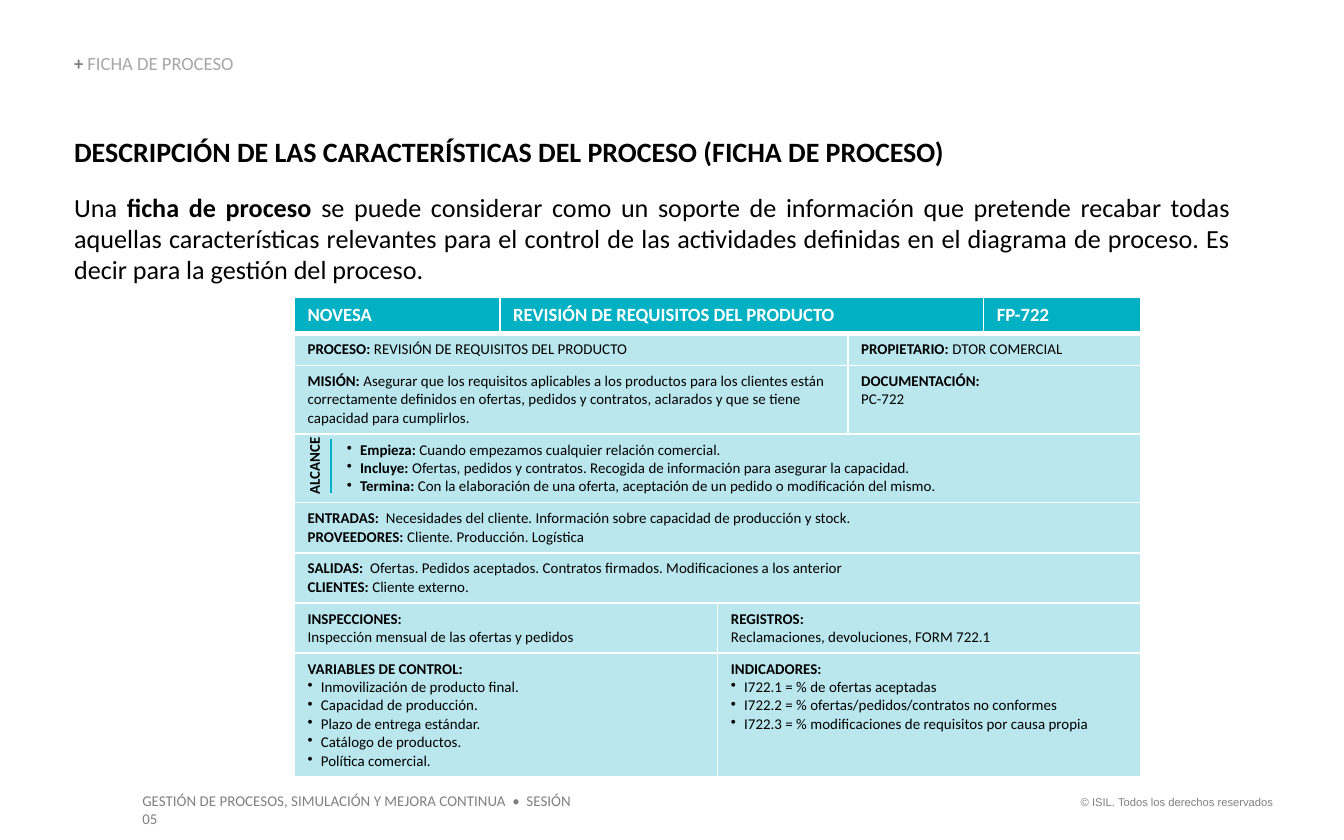
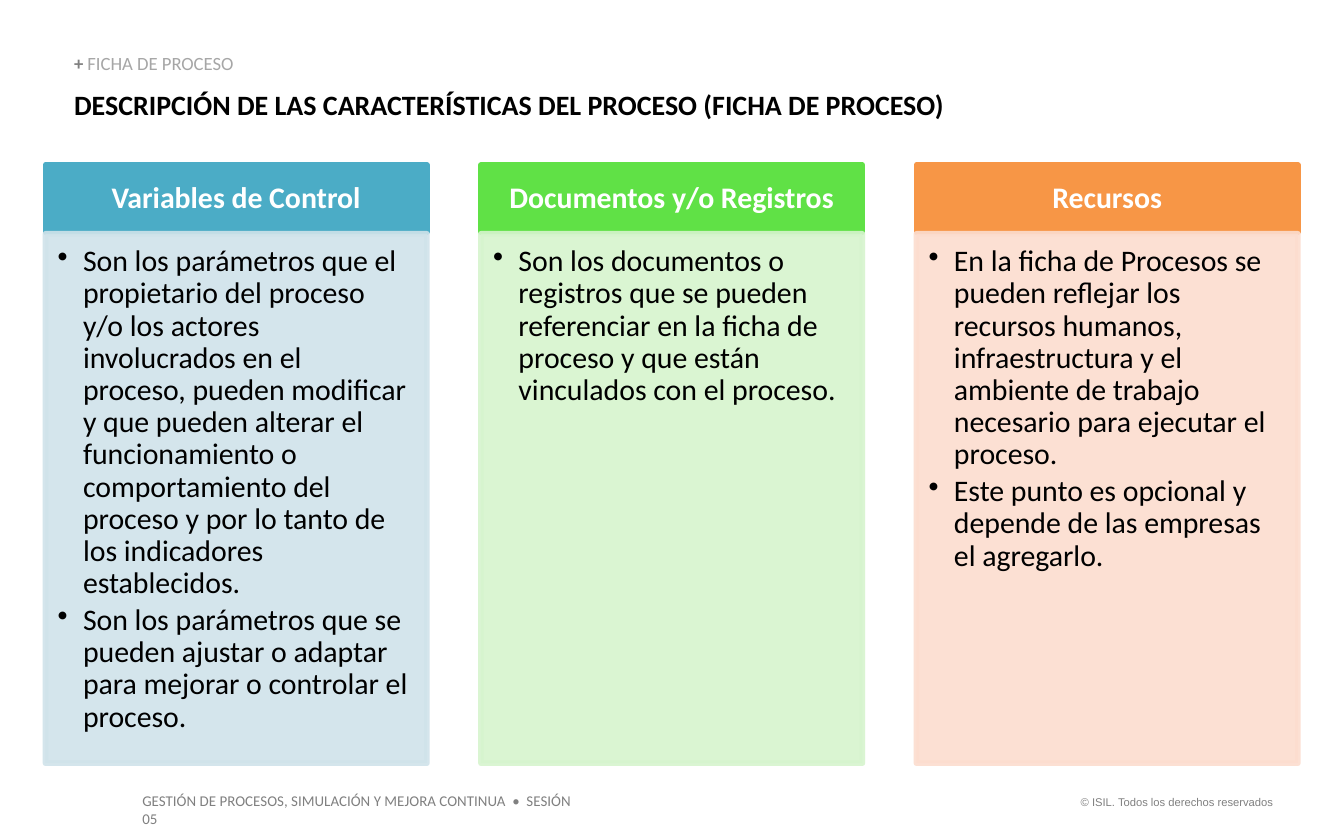
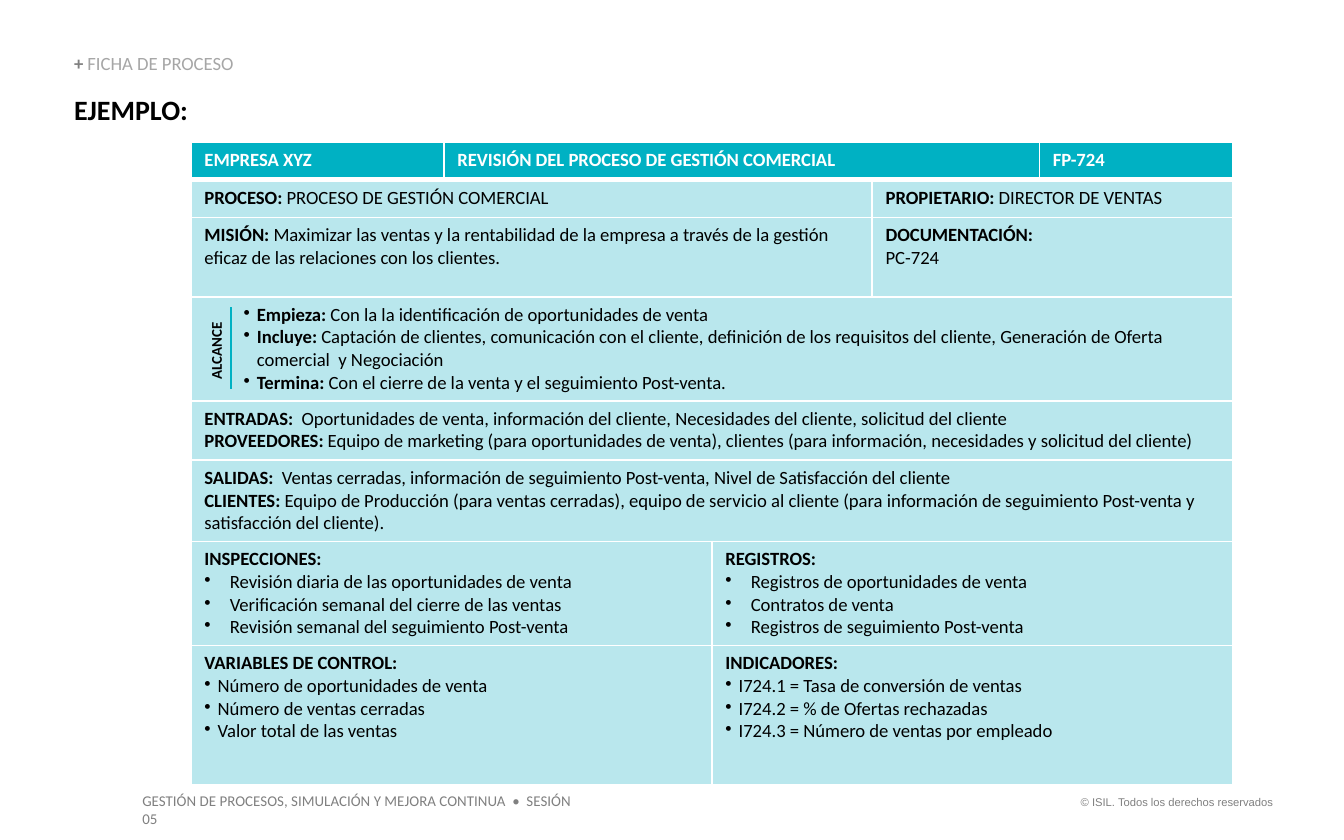
from dataclasses import dataclass

from pptx import Presentation
from pptx.dml.color import RGBColor
from pptx.enum.shapes import MSO_CONNECTOR, MSO_SHAPE
from pptx.enum.text import MSO_ANCHOR, MSO_AUTO_SIZE, PP_ALIGN
from pptx.oxml.ns import qn
from pptx.util import Cm, Pt
from lxml.etree import SubElement


@dataclass(frozen=True)
class Theme:
    """Colours, fonts and type sizes of the deck."""
    font: str = "Calibri"
    legal_font: str = "Arial"
    black: str = "000000"
    white: str = "FFFFFF"
    grey: str = "808080"
    light_grey: str = "A6A6A6"
    teal: str = "00B1C3"
    pale_teal: str = "B9E7ED"
    title: float = 15
    body: float = 14
    column: float = 16
    label: float = 10
    small: float = 8
    legal: float = 6


@dataclass(frozen=True)
class Sheet:
    """Geometry and wording of one process sheet, in cm from its corner."""
    box: tuple
    header_height: float
    row_heights: tuple
    size: float
    scope_label: tuple
    scope_rule: tuple
    header: tuple
    rows: tuple


T = Theme()
LEFT = 1.4
SECTION = "**+** FICHA DE PROCESO"
HEADING = "DESCRIPCIÓN DE LAS CARACTERÍSTICAS DEL PROCESO (FICHA DE PROCESO)"
FOOTER = "GESTIÓN DE PROCESOS, SIMULACIÓN Y MEJORA CONTINUA  •  SESIÓN 05"
COPYRIGHT = "© ISIL. Todos los derechos reservados"
INTRO = ("Una **ficha de proceso** se puede considerar como un soporte de información que "
         "pretende recabar todas aquellas características relevantes para el control de las "
         "actividades definidas en el diagrama de proceso. Es decir para la gestión del proceso.")

HEADER_SHARES = (17, 40, 13)
BODY_SHARES = (13, 4, 9)
ROW_STARTS = ((0, 2),) * 2 + ((0,),) * 3 + ((0, 1),) * 2
ROW_BULLETS = {2: (0.99, 0.25), 5: (0.48, 0.48), 6: (0.25, 0.25)}

REQUIREMENTS = Sheet(
    box=(5.56, 5.61, 16), header_height=0.69,
    row_heights=(0.61, 1.27, 1.27, 0.91, 0.94, 0.94, 2.29), size=T.small,
    scope_label=(-0.61, 2.69, 1.98, 0.61), scope_rule=(0.69, 2.69, 3.71),
    header=("NOVESA", "REVISIÓN DE REQUISITOS DEL PRODUCTO", "FP-722"),
    rows=(
        (["**PROCESO:** REVISIÓN DE REQUISITOS DEL PRODUCTO"],
         ["**PROPIETARIO:** DTOR COMERCIAL"]),
        (["**MISIÓN:** Asegurar que los requisitos aplicables a los productos para los clientes "
          "están correctamente definidos en ofertas, pedidos y contratos, aclarados y que se "
          "tiene capacidad para cumplirlos."],
         ["**DOCUMENTACIÓN:**", "PC-722"]),
        (["• **Empieza:** Cuando empezamos cualquier relación comercial.",
          "• **Incluye:** Ofertas, pedidos y contratos. Recogida de información para asegurar "
          "la capacidad.",
          "• **Termina:** Con la elaboración de una oferta, aceptación de un pedido o "
          "modificación del mismo."],),
        (["**ENTRADAS:**  Necesidades del cliente. Información sobre capacidad de producción "
          "y stock.",
          "**PROVEEDORES:** Cliente. Producción. Logística"],),
        (["**SALIDAS:**  Ofertas. Pedidos aceptados. Contratos firmados. Modificaciones a los "
          "anterior",
          "**CLIENTES:** Cliente externo."],),
        (["**INSPECCIONES:**", "Inspección mensual de las ofertas y pedidos"],
         ["**REGISTROS:**", "Reclamaciones, devoluciones, FORM 722.1"]),
        (["**VARIABLES DE CONTROL:**", "• Inmovilización de producto final.",
          "• Capacidad de producción.", "• Plazo de entrega estándar.",
          "• Catálogo de productos.", "• Política comercial."],
         ["**INDICADORES:**", "• I722.1 = % de ofertas aceptadas",
          "• I722.2 = % ofertas/pedidos/contratos no conformes",
          "• I722.3 = % modificaciones de requisitos por causa propia"]),
    ))

SALES = Sheet(
    box=(3.61, 2.69, 19.69), header_height=0.71,
    row_heights=(0.71, 1.5, 1.96, 1.12, 1.52, 1.96, 2.64), size=T.label,
    scope_label=(-0.91, 3.05, 2.77, 0.61), scope_rule=(0.76, 3.12, 4.67),
    header=("EMPRESA XYZ", "REVISIÓN DEL PROCESO DE GESTIÓN COMERCIAL", "FP-724"),
    rows=(
        (["**PROCESO:** PROCESO DE GESTIÓN COMERCIAL"],
         ["**PROPIETARIO:** DIRECTOR DE VENTAS"]),
        (["**MISIÓN:** Maximizar las ventas y la rentabilidad de la empresa a través de la "
          "gestión eficaz de las relaciones con los clientes."],
         ["**DOCUMENTACIÓN:**", "PC-724"]),
        (["• **Empieza:** Con la la identificación de oportunidades de venta",
          "• **Incluye:** Captación de clientes, comunicación con el cliente, definición de los "
          "requisitos del cliente, Generación de Oferta comercial  y Negociación",
          "• **Termina:** Con el cierre de la venta y el seguimiento Post-venta."],),
        (["**ENTRADAS:**  Oportunidades de venta, información del cliente, Necesidades del "
          "cliente, solicitud del cliente",
          "**PROVEEDORES:** Equipo de marketing (para oportunidades de venta), clientes (para "
          "información, necesidades y solicitud del cliente)"],),
        (["**SALIDAS:**  Ventas cerradas, información de seguimiento Post-venta, Nivel de "
          "Satisfacción del cliente",
          "**CLIENTES:** Equipo de Producción (para ventas cerradas), equipo de servicio al "
          "cliente (para información de seguimiento Post-venta y satisfacción del cliente)."],),
        (["**INSPECCIONES:**", "• Revisión diaria de las oportunidades de venta",
          "• Verificación semanal del cierre de las ventas",
          "• Revisión semanal del seguimiento Post-venta"],
         ["**REGISTROS:**", "• Registros de oportunidades de venta", "• Contratos de venta",
          "• Registros de seguimiento Post-venta"]),
        (["**VARIABLES DE CONTROL:**", "• Número de oportunidades de venta",
          "• Número de ventas cerradas", "• Valor total de las ventas"],
         ["**INDICADORES:**", "• I724.1 = Tasa de conversión de ventas",
          "• I724.2 = % de Ofertas rechazadas", "• I724.3 = Número de ventas por empleado"]),
    ))

COLUMNS = (
    ("Variables de Control", "4BACC6", "D0E3EA",
     ["• Son los parámetros que el propietario del proceso y/o los actores involucrados en el "
      "proceso, pueden modificar y que pueden alterar el funcionamiento o comportamiento del "
      "proceso y por lo tanto de los indicadores establecidos.",
      "• Son los parámetros que se pueden ajustar o adaptar para mejorar o controlar el proceso."]),
    ("Documentos y/o Registros", "60E146", "D6F4CE",
     ["• Son los documentos o registros que se pueden referenciar en la ficha de proceso y que "
      "están vinculados con el proceso."]),
    ("Recursos", "F79646", "FCDDCF",
     ["• En la ficha de Procesos se pueden reflejar los recursos humanos, infraestructura y el "
      "ambiente de trabajo necesario para ejecutar el proceso.",
      "• Este punto es opcional y depende de las empresas el agregarlo."]),
)


def rgb(value):
    """Return the colour for a hex value."""
    return RGBColor.from_string(value)


def apply(obj, formats):
    """Set attributes of an object from a dict."""
    for name, value in formats.items():
        setattr(obj, name, value)


def set_bullet(p, indent):
    """Give a paragraph a bullet, or none when there is no indent."""
    margin, hang = indent or (0, 0)
    pPr = p._p.get_or_add_pPr()
    pPr.set("marL", str(Cm(margin)))
    pPr.set("indent", str(-Cm(hang)))
    if indent:
        SubElement(pPr, qn("a:buChar")).set("char", "•")
    else:
        SubElement(pPr, qn("a:buNone"))


def write(tf, lines, size, color=T.black, strong=None, font=T.font, indent=None, **formats):
    """Write lines, with ** around bold words and a leading dot for bullets."""
    for i, line in enumerate(lines):
        p = tf.add_paragraph() if i else tf.paragraphs[0]
        set_bullet(p, indent if line.startswith("• ") else None)
        apply(p, {"space_before": Pt(0), **formats})
        for j, words in enumerate(line.removeprefix("• ").split("**")):
            if words:
                r = p.add_run()
                r.text = words
                bold = j % 2 == 1
                apply(r.font, {"name": font, "size": Pt(size), "bold": bold})
                r.font.color.rgb = rgb(strong if bold and strong else color)


def set_frame(tf, insets=(0.25, 0.13, 0.25, 0.13), anchor=MSO_ANCHOR.TOP):
    """Set wrapping, anchor and insets of a text frame."""
    sides = ("margin_left", "margin_top", "margin_right", "margin_bottom")
    apply(tf, {"word_wrap": True, "auto_size": MSO_AUTO_SIZE.NONE, "vertical_anchor": anchor,
               **dict(zip(sides, map(Cm, insets)))})


def add_label(s, box, text, size, insets=(0.25, 0.13, 0.25, 0.13), anchor=MSO_ANCHOR.TOP,
              **formats):
    """Add a one-paragraph text box."""
    sp = s.shapes.add_textbox(*map(Cm, box))
    set_frame(sp.text_frame, insets, anchor)
    write(sp.text_frame, [text], size, **formats)
    return sp


def fill_placeholder(sp, box, text, size, **formats):
    """Move a placeholder to a box and write its text."""
    apply(sp, dict(zip(("left", "top", "width", "height"), map(Cm, box))))
    set_frame(sp.text_frame, (0, 0, 0, 0))
    write(sp.text_frame, [text], size, **formats)


def add_slide(prs, layout, title, top):
    """Add a slide with the shared section label, title and footers."""
    s = prs.slides.add_slide(prs.slide_layouts.get_by_name(layout))
    add_label(s, (20.02, 14.91, 4.29, 0.51), COPYRIGHT, T.legal, color=T.grey,
              font=T.legal_font, alignment=PP_ALIGN.RIGHT)
    add_label(s, (2.44, 14.83, 8.9, 0.61), FOOTER, T.small, color=T.grey)
    add_label(s, (LEFT, 1.04, 6.76, 0.38), SECTION, T.label, (0, 0, 0, 0), MSO_ANCHOR.BOTTOM,
              color=T.light_grey, strong=T.grey, line_spacing=0.9)
    fill_placeholder(s.shapes.title, (LEFT, top, 22.4, 0.64), f"**{title}**", T.title,
                     alignment=PP_ALIGN.LEFT)
    return s


def format_cell(cell, fill, bottom):
    """Give a cell white borders and a solid fill."""
    tcPr = cell._tc.get_or_add_tcPr()
    for side, width in (("L", 1), ("R", 1), ("T", 1), ("B", bottom)):
        ln = SubElement(tcPr, qn(f"a:ln{side}"), w=str(Pt(width)))
        SubElement(SubElement(ln, qn("a:solidFill")), qn("a:srgbClr"), val=T.white)
    cell.fill.solid()
    cell.fill.fore_color.rgb = rgb(fill)


def add_grid(s, box, shares, heights, fill, bottom=1):
    """Add a plain table whose columns share the width of the box."""
    left, top, width = box
    table = s.shapes.add_table(len(heights), len(shares),
                               *map(Cm, (left, top, width, sum(heights)))).table
    apply(table, {"first_row": False, "horz_banding": False})
    for column, share in zip(table.columns, shares):
        column.width = Cm(width * share / sum(shares))
    for row, height in zip(table.rows, heights):
        row.height = Cm(height)
    for cell in table.iter_cells():
        format_cell(cell, fill, bottom)
    return table


def add_sheet(s, sheet):
    """Add a process sheet: body, scope label with its rule, and header."""
    left, top, width = sheet.box
    body = add_grid(s, (left, top + sheet.header_height, width), BODY_SHARES,
                    sheet.row_heights, T.pale_teal)
    for i, (starts, texts) in enumerate(zip(ROW_STARTS, sheet.rows)):
        ends = [start - 1 for start in starts[1:]] + [len(BODY_SHARES) - 1]
        for start, end, lines in zip(starts, ends, texts):
            cell = body.cell(i, start)
            if end > start:
                cell.merge(body.cell(i, end))
            write(cell.text_frame, lines, sheet.size, indent=ROW_BULLETS.get(i))

    dx, dy, length, height = sheet.scope_label
    label = add_label(s, (left + dx, top + dy, length, height), "**ALCANCE**", T.small)
    label.rotation = 270
    x, y1, y2 = sheet.scope_rule
    rule = s.shapes.add_connector(MSO_CONNECTOR.STRAIGHT,
                                  *map(Cm, (left + x, top + y1, left + x, top + y2)))
    rule.line.color.rgb = rgb(T.teal)
    rule.line.width = Pt(1)
    SubElement(rule.element.spPr, qn("a:effectLst"))

    header = add_grid(s, sheet.box, HEADER_SHARES, [sheet.header_height], T.teal, bottom=3)
    for cell, text in zip(header.iter_cells(), sheet.header):
        write(cell.text_frame, [f"**{text}**"], T.label, color=T.white)


def add_panel(s, box, color, opacity=100):
    """Add a rectangle with fill and outline of one colour."""
    sp = s.shapes.add_shape(MSO_SHAPE.RECTANGLE, *map(Cm, box))
    sp.shadow.inherit = False
    sp.fill.solid()
    sp.fill.fore_color.rgb = rgb(color)
    sp.line.color.rgb = rgb(color)
    sp.line.width = Pt(3)
    if opacity < 100:
        for clr in sp.element.spPr.iter(qn("a:srgbClr")):
            SubElement(clr, qn("a:alpha"), val=str(opacity * 1000))
    return sp


def add_columns(s, box, gap=1.02, head=1.3):
    """Add equal columns, each a heading over a bulleted list."""
    left, top, width, height = box
    w = (width - gap * (len(COLUMNS) - 1)) / len(COLUMNS)
    for i, (name, color, tint, items) in enumerate(COLUMNS):
        x = left + i * (w + gap)
        tf = add_panel(s, (x, top, w, head - 0.03), color).text_frame
        set_frame(tf, (0.3, 0.18, 0.3, 0.18), MSO_ANCHOR.MIDDLE)
        write(tf, [f"**{name}**"], T.column, color=T.white, alignment=PP_ALIGN.CENTER,
              line_spacing=0.9)
        tf = add_panel(s, (x, top + head, w, height - head), tint, 90).text_frame
        set_frame(tf, (0.23, 0.23, 0.3, 0.36))
        write(tf, items, T.column, indent=(0.48, 0.48), alignment=PP_ALIGN.LEFT,
              line_spacing=0.9, space_after=Pt(2.4))


def main():
    """Build the three slides and save the deck."""
    prs = Presentation()
    apply(prs, {"slide_width": Cm(25.4), "slide_height": Cm(15.88)})

    s = add_slide(prs, "Title and Content", HEADING, 2.54)
    fill_placeholder(s.placeholders[1], (LEFT, 3.61, 21.87, 1.8), INTRO, T.body,
                     alignment=PP_ALIGN.JUSTIFY)
    add_sheet(s, REQUIREMENTS)

    s = add_slide(prs, "Title Only", HEADING, 1.65)
    add_columns(s, (0.86, 3.12, 23.67, 11.31))

    s = add_slide(prs, "Title Only", "EJEMPLO:", 1.75)
    add_sheet(s, SALES)

    prs.save("out.pptx")


if __name__ == "__main__":
    main()
